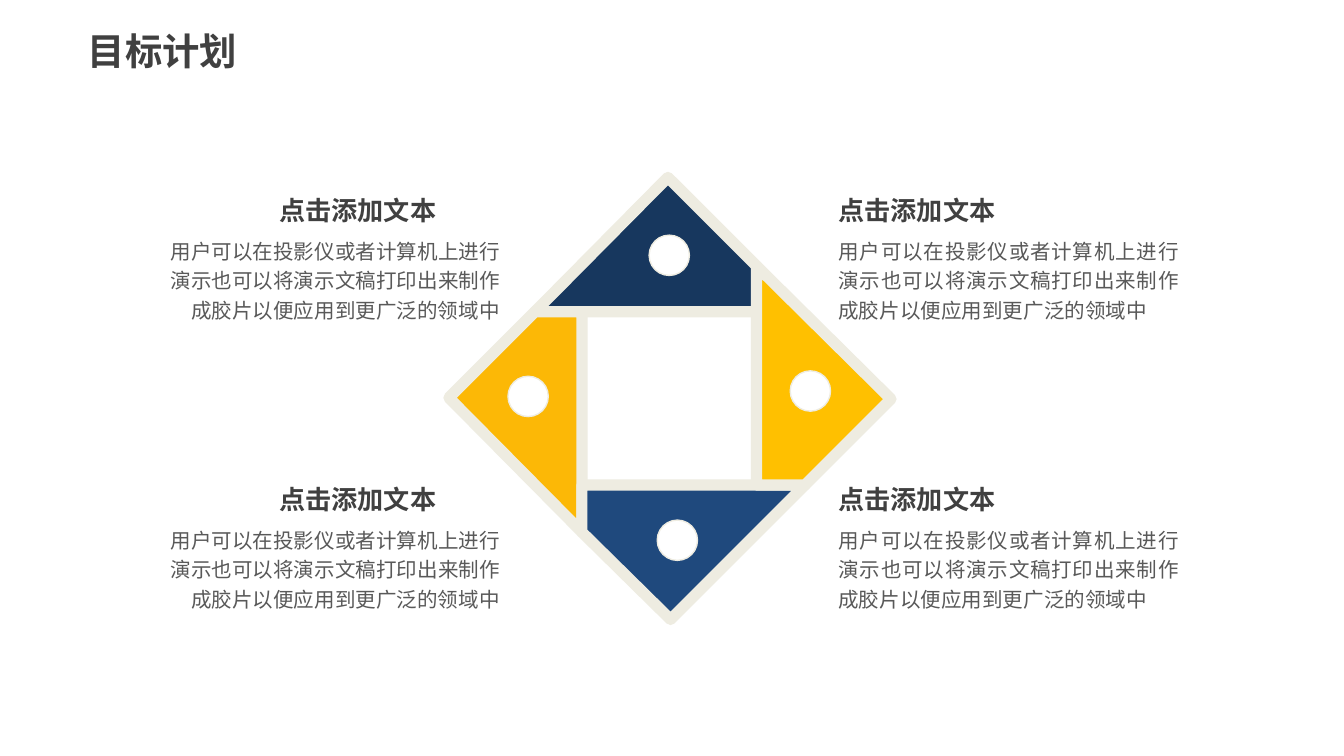
from dataclasses import dataclass

from lxml.etree import SubElement
from pptx import Presentation
from pptx.dml.color import RGBColor
from pptx.enum.shapes import MSO_SHAPE
from pptx.enum.text import MSO_ANCHOR, PP_ALIGN
from pptx.oxml.ns import qn
from pptx.shapes.base import BaseShape
from pptx.util import Inches, Pt

FONT = "Noto Sans CJK SC"
HEAD = "点击添加文本"
BODY = "用户可以在投影仪或者计算机上进行演示也可以将演示文稿打印出来制作成胶片以便应用到更广泛的领域中"
COLORS = {
    "navy": "17375E",
    "blue": "1F497D",
    "amber": "FCB806",
    "gold": "FFC000",
    "cream": "EEECE1",
    "white": "FFFFFF",
    "dark": "404040",
    "gray": "595959",
}


@dataclass
class Piece:
    color: str
    points: list[tuple[float, float]]
    icon: tuple[float, float]  # centre of the marker


@dataclass
class Label:
    text: str
    box: tuple[float, float, float, float]
    size: int
    color: str
    bold: bool = False
    align: PP_ALIGN = PP_ALIGN.LEFT
    space: float = 1.0
    inset: float = 0.1
    wrap: bool = True
    anchor: MSO_ANCHOR = MSO_ANCHOR.TOP


def rgb(name: str) -> RGBColor:
    return RGBColor.from_string(COLORS[name])


def paint(shape: BaseShape, fill: str, width: float) -> None:
    shape.shadow.inherit = False
    shape.fill.solid()
    shape.fill.fore_color.rgb = rgb(fill)
    shape.line.color.rgb = rgb("cream")
    shape.line.width = Pt(width)


def draw_piece(piece: Piece) -> None:
    first, *rest = [(Inches(x), Inches(y)) for x, y in piece.points]
    form = slide.shapes.build_freeform(*first)
    form.add_line_segments(rest, close=True)
    shape = form.convert_to_shape()
    paint(shape, piece.color, 6)
    # Round the corners of the outline
    SubElement(shape.line._get_or_add_ln(), qn("a:round"))


def draw_icon(piece: Piece, size: float = 0.3) -> None:
    x, y = piece.icon
    dot = slide.shapes.add_shape(
        MSO_SHAPE.OVAL, Inches(x - size / 2), Inches(y - size / 2),
        Inches(size), Inches(size))
    paint(dot, "white", 0.75)


def draw_label(label: Label) -> None:
    box = slide.shapes.add_textbox(*[Inches(n) for n in label.box])
    frame = box.text_frame
    frame.word_wrap = label.wrap
    frame.vertical_anchor = label.anchor
    frame.margin_left = frame.margin_right = Inches(label.inset)
    frame.margin_top = frame.margin_bottom = Inches(label.inset / 2)
    para = frame.paragraphs[0]
    para.alignment = label.align
    para.line_spacing = label.space
    run = para.add_run()
    run.text = label.text
    font = run.font
    font.size, font.bold, font.name = Pt(label.size), label.bold, FONT
    font.color.rgb = rgb(label.color)
    # East Asian text takes its own typeface
    SubElement(run._r.get_or_add_rPr(), qn("a:ea"), typeface=FONT)


# Slide in 16:9
deck = Presentation()
deck.slide_width, deck.slide_height = Inches(10), Inches(10 * 9 / 16)
slide = deck.slides.add_slide(deck.slide_layouts[6])

# Title
draw_label(Label("目标计划", (-0.2, 0.14, 2.82, 0.47), 20, "dark", True,
                 PP_ALIGN.CENTER, inset=0, wrap=False,
                 anchor=MSO_ANCHOR.MIDDLE))

# Diamond of four pieces around a square
L, R, T, B = 4.33, 5.63, 2.32, 3.61
pieces = [
    Piece("navy", [(4.97, 1.32), (R, 1.98), (R, T), (3.98, T)], (4.98, 1.9)),
    Piece("amber", [(L, T), (L, 3.96), (3.34, 2.96), (3.98, T)], (3.93, 2.95)),
    Piece("blue", [(5.99, B), (4.99, 4.61), (L, 3.96), (L, B)], (5.04, 4.02)),
    Piece("gold", [(R, 1.98), (6.63, 2.97), (5.99, B), (R, B)], (6.03, 2.91)),
]
for piece in pieces:
    draw_piece(piece)
for piece in pieces:
    draw_icon(piece)

# Text blocks: heading left, body left, body alignment
sides = [(6.14, 6.14, PP_ALIGN.JUSTIFY), (1.98, 1.09, PP_ALIGN.RIGHT)]
for head, body, align in sides:
    for top in (1.4, 3.55):
        draw_label(Label(BODY, (body, top + 0.29, 2.73, 0.77), 11, "gray",
                         align=align, space=1.2))
        draw_label(Label(HEAD, (head, top, 1.84, 0.34), 14, "dark", True))

deck.save("out.pptx")
